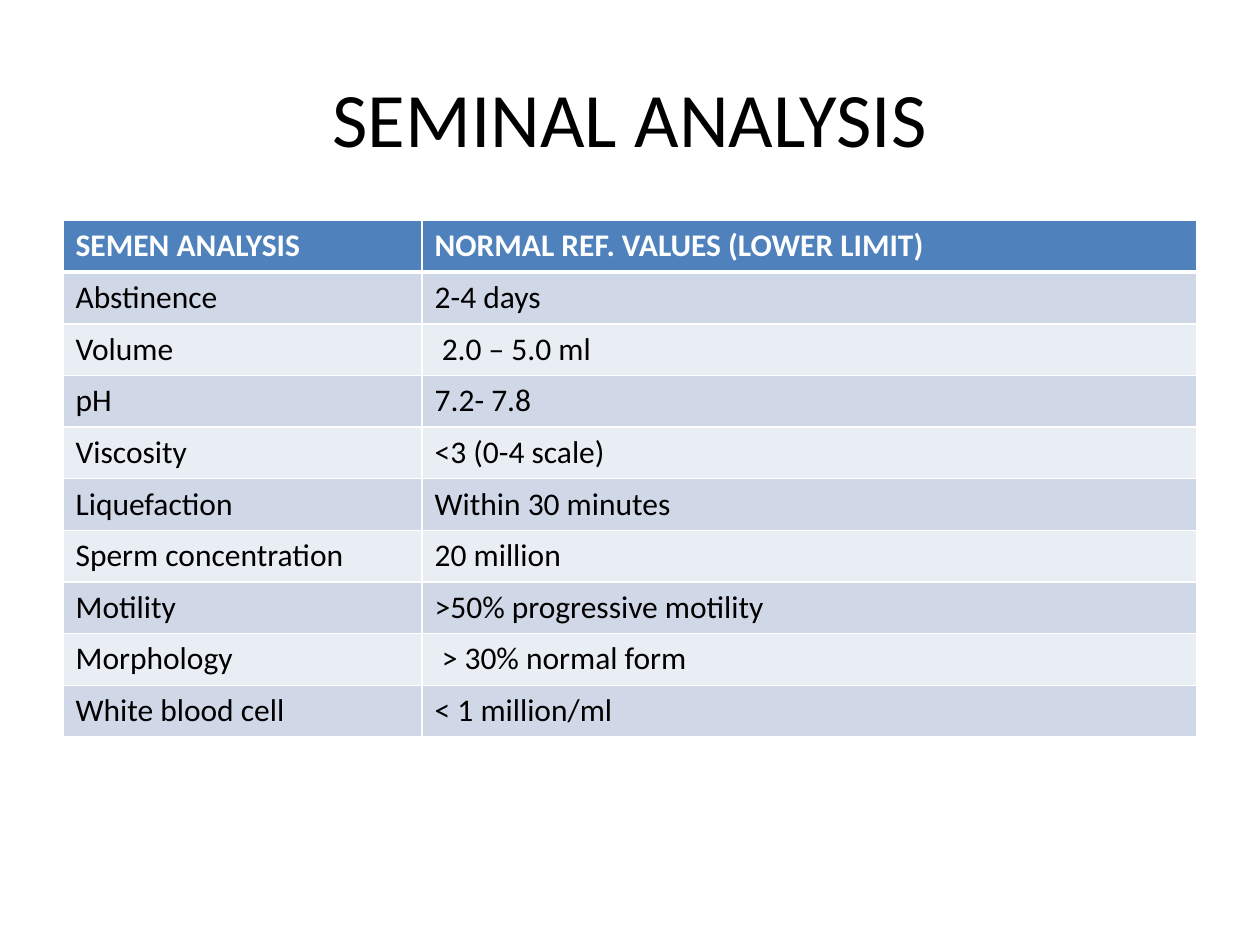
import pptx
import pptx.dml.color
import pptx.enum.text
import pptx.oxml.ns
import pptx.util
import lxml.etree

WIDE, HIGH = 10, 7.5
LEFT, SPAN = 0.05 * WIDE, 0.9 * WIDE
COLS = (2.85, 6.15)
ROW = 0.41
FONT = "Calibri"
HUES = {
    "ink": "000000",
    "white": "FFFFFF",
    "head": "4F81BD",
    "odd": "D0D8E8",
    "even": "E9EDF4",
}
ROWS = [
    ("SEMEN ANALYSIS", "NORMAL REF. VALUES (LOWER LIMIT)"),
    ("Abstinence", "2-4 days"),
    ("Volume", " 2.0 – 5.0 ml"),
    ("pH", "7.2- 7.8"),
    ("Viscosity", "<3 (0-4 scale)"),
    ("Liquefaction", "Within 30 minutes"),
    ("Sperm concentration", "20 million"),
    ("Motility", ">50% progressive motility"),
    ("Morphology", " > 30% normal form"),
    ("White blood cell", "< 1 million/ml"),
]


def inch(*sizes):
    return [pptx.util.Inches(size) for size in sizes]


def color(name):
    return pptx.dml.color.RGBColor.from_string(HUES[name])


def add_run(para, text, size, hue, bold=False):
    run = para.add_run()
    run.text = text
    run.font.name = FONT
    run.font.size = pptx.util.Pt(size)
    run.font.bold = bold
    run.font.color.rgb = color(hue)


def add_title(slide, text):
    box = slide.shapes.add_textbox(*inch(LEFT, 0.04 * HIGH, SPAN, HIGH / 6))
    frame = box.text_frame
    frame.word_wrap = True
    frame.vertical_anchor = pptx.enum.text.MSO_ANCHOR.MIDDLE
    para = frame.paragraphs[0]
    para.alignment = pptx.enum.text.PP_ALIGN.CENTER
    add_run(para, text, 44, "ink")


def add_edges(cell, top, bottom):
    """Draw white cell borders; top and bottom widths are in points."""
    name = pptx.oxml.ns.qn
    props = cell._tc.get_or_add_tcPr()
    for tag, width in (("lnL", 1), ("lnR", 1), ("lnT", top), ("lnB", bottom)):
        line = lxml.etree.SubElement(props, name("a:" + tag), w=str(pptx.util.Pt(width)))
        fill = lxml.etree.SubElement(line, name("a:solidFill"))
        lxml.etree.SubElement(fill, name("a:srgbClr"), val=HUES["white"])


def fill_cell(cell, text, row):
    head = row == 0
    add_edges(cell, 3 if row == 1 else 1, 3 if head else 1)
    cell.fill.solid()
    cell.fill.fore_color.rgb = color("head" if head else "odd" if row % 2 else "even")
    add_run(cell.text_frame.paragraphs[0], text, 18, "white" if head else "ink", head)


def add_grid(slide, rows):
    count = len(rows)
    place = inch(LEFT, 1.75, SPAN, ROW * count)
    table = slide.shapes.add_table(count, len(COLS), *place).table
    for col, width in zip(table.columns, inch(*COLS)):
        col.width = width
    for row, texts in enumerate(rows):
        table.rows[row].height = pptx.util.Inches(ROW)
        for col, text in enumerate(texts):
            fill_cell(table.cell(row, col), text, row)


def main():
    deck = pptx.Presentation()
    deck.slide_width, deck.slide_height = inch(WIDE, HIGH)
    slide = deck.slides.add_slide(deck.slide_layouts[6])
    add_title(slide, "SEMINAL ANALYSIS")
    add_grid(slide, ROWS)
    deck.save("out.pptx")


if __name__ == "__main__":
    main()
